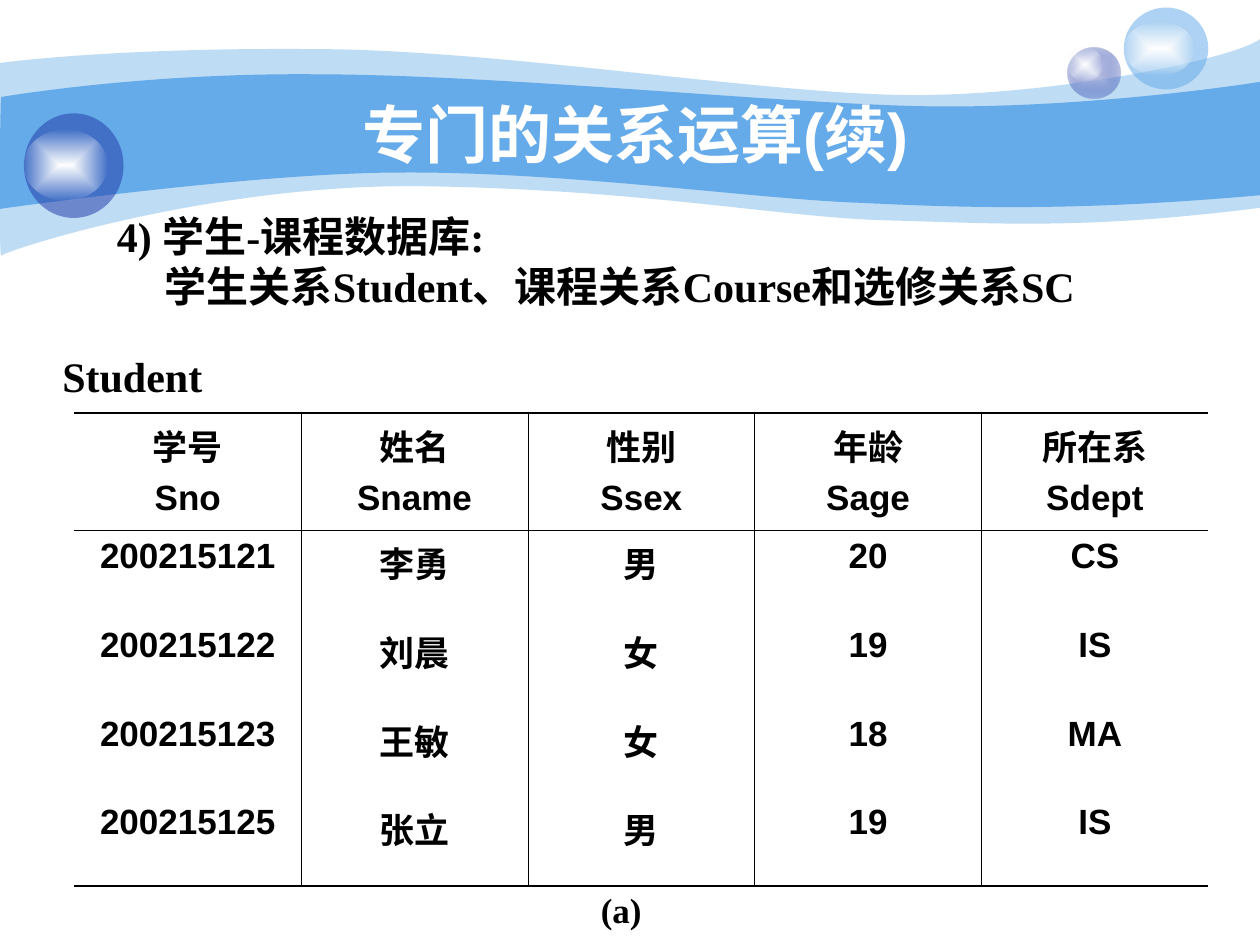
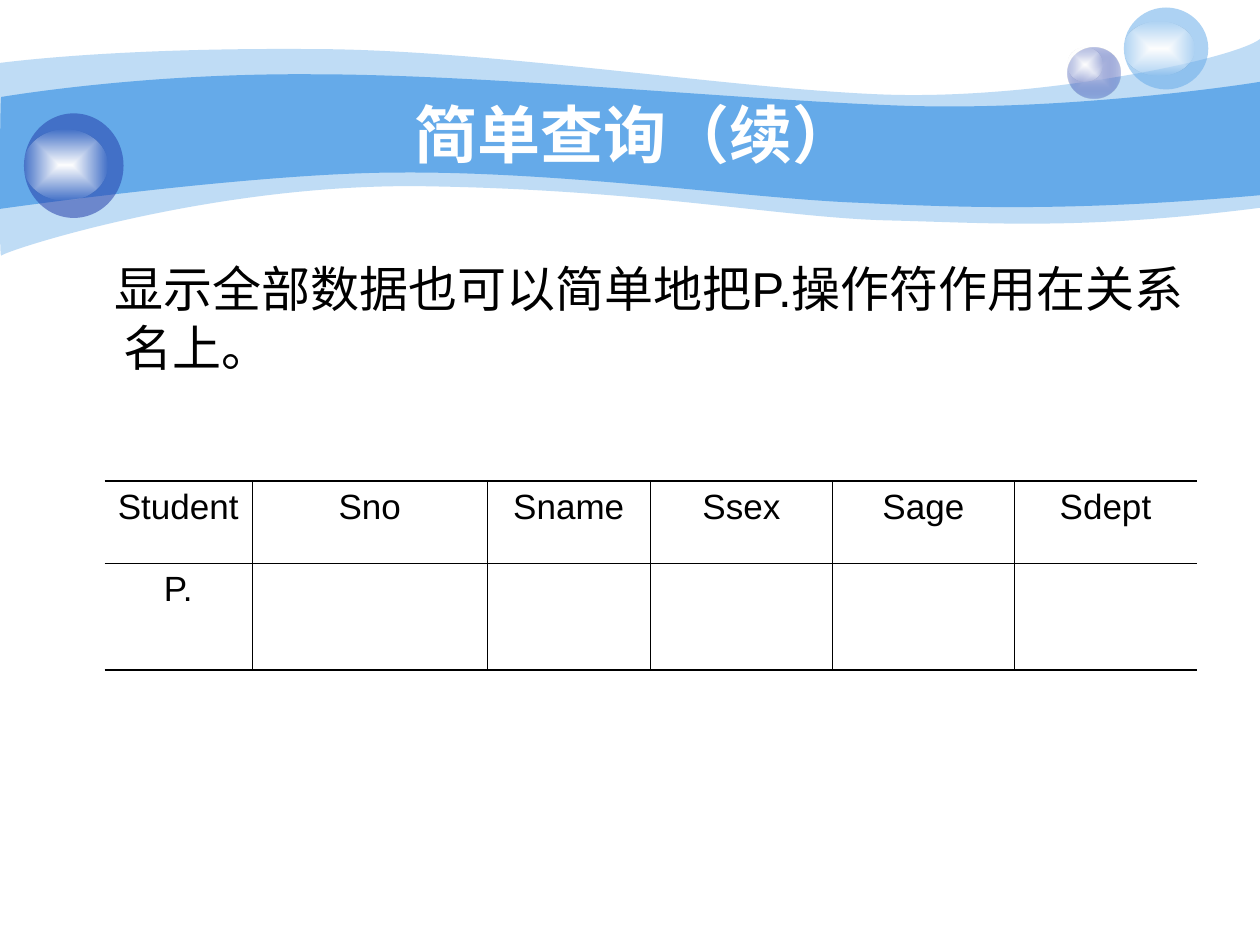
from lxml.etree import SubElement
from pptx import Presentation
from pptx.dml.color import RGBColor
from pptx.enum.shapes import MSO_SHAPE as Preset
from pptx.enum.text import MSO_ANCHOR as Anchor, MSO_AUTO_SIZE as Fit, PP_ALIGN as Align
from pptx.oxml.ns import qn
from pptx.util import Pt

EMU_PER_PX = 9144
SANS, SERIF = "Arial", "Times New Roman"
COLORS = {"sky": "65AAE9", "navy": "233DA9", "lilac": "C7CEE9",
          "white": "FFFFFF", "black": "000000"}
THIN, THICK = 0.45, 1.08

PALE_WAVE = [(0, 50), (24, 47, 107, 38, 247, 39), (386, 39, 575, 70, 699, 75),
             (822, 80, 980, 47, 1000, 31), (1000, 165),
             (858, 183, 787, 177, 705, 175), (622, 173, 515, 151, 343, 148),
             (172, 144, 4, 199, 1, 203), (-1, 208, 0, 75, 0, 50)]
BLUE_WAVE = [(1, 77), (2, 77, 110, 58, 248, 59), (386, 59, 595, 80, 718, 84),
             (841, 88, 976, 69, 1000, 65), (1000, 155),
             (853, 168, 765, 165, 682, 161), (599, 158, 447, 136, 317, 137),
             (203, 137, -2, 166, -1, 166), (0, 166, 0, 77, 1, 77)]


def px(*lengths):
    return [round(length * EMU_PER_PX) for length in lengths]


def add_color(parent, color, alpha=100):
    node = SubElement(parent, qn("a:srgbClr"), val=COLORS[color])
    if alpha < 100:
        SubElement(node, qn("a:alpha"), val=str(alpha * 1000))


class Deck:
    def __init__(self):
        self.prs = Presentation()
        self.prs.slide_width, self.prs.slide_height = px(1000, 750)
        self.layout = self.prs.slide_layouts[5]
        for placeholder in list(self.layout.placeholders)[1:]:
            self.layout.shapes.element.remove(placeholder.element)
        self.slide = None

    def new_slide(self, heading):
        first = self.slide is None
        self.slide = self.prs.slides.add_slide(self.layout)
        if first:
            self.backdrop()
        title = self.slide.shapes.title
        title.left, title.top, title.width, title.height = px(100, 75, 808, 62)
        title.text_frame.text = heading
        title.text_frame.auto_size = Fit.NONE
        title.text_frame.vertical_anchor = Anchor.MIDDLE
        self.style(title.text_frame.paragraphs[0], 36, True, color="white")

    def backdrop(self):
        decor = [
            self.wave(PALE_WAVE, 41),
            self.wave(BLUE_WAVE),
            self.glow((847, 38, 42, 40), "lilac", "navy", 31),
            self.glow((847, 38, 28, 27)),
            self.bubble((892, 6, 67, 65), "sky"),
            self.glow((892, 17, 56, 43)),
            self.bubble((19, 90, 79, 83), "navy"),
            self.glow((19, 103, 66, 56)),
        ]
        for shape in decor:
            self.layout.shapes.element.append(shape.element)

    def plain(self, shape, color, alpha=100):
        shape.shadow.inherit = False
        shape.line.fill.background()
        shape.fill.solid()
        shape.fill.fore_color.rgb = RGBColor.from_string(COLORS[color])
        if alpha < 100:
            solid = shape.element.spPr.find(qn("a:solidFill"))
            solid.remove(solid[0])
            add_color(solid, color, alpha)
        return shape

    def wave(self, steps, alpha=100):
        points = [point for step in steps for point in zip(step[::2], step[1::2])]
        outline = self.slide.shapes.build_freeform(*points[0], scale=EMU_PER_PX)
        outline.add_line_segments(points[1:], close=True)
        shape = outline.convert_to_shape()
        contour = shape.element.spPr.find(".//" + qn("a:path"))
        lines = iter(contour.findall(qn("a:lnTo")))
        for step in steps[1:]:
            line = next(lines)
            if len(step) == 6:
                curve = line.makeelement(qn("a:cubicBezTo"))
                contour.replace(line, curve)
                curve.append(line[0])
                for _ in range(2):
                    knot = next(lines)
                    contour.remove(knot)
                    curve.append(knot[0])
        return self.plain(shape, "sky", alpha)

    def bubble(self, box, color, alpha=53):
        return self.plain(self.slide.shapes.add_shape(Preset.OVAL, *px(*box)), color, alpha)

    def glow(self, box, center="white", edge="white", edge_alpha=0):
        oval = self.bubble(box, center, 100)
        props = oval.element.spPr
        solid = props.find(qn("a:solidFill"))
        grad = SubElement(props, qn("a:gradFill"), rotWithShape="1")
        stops = SubElement(grad, qn("a:gsLst"))
        add_color(SubElement(stops, qn("a:gs"), pos="0"), center)
        add_color(SubElement(stops, qn("a:gs"), pos="100000"), edge, edge_alpha)
        spread = SubElement(grad, qn("a:path"), path="rect")
        SubElement(spread, qn("a:fillToRect"), l="50000", t="50000", r="50000", b="50000")
        props.replace(solid, grad)
        return oval

    def style(self, paragraph, size, bold=False, font=SANS, color="black", align=Align.CENTER):
        paragraph.alignment = align
        paragraph.font.name, paragraph.font.size, paragraph.font.bold = font, Pt(size), bold
        paragraph.font.color.rgb = RGBColor.from_string(COLORS[color])

    def text(self, box, lines, size, bold=True, font=SERIF, align=Align.CENTER,
             indents=(), wrap=True, anchor=Anchor.TOP):
        frame = self.slide.shapes.add_textbox(*px(*box)).text_frame
        frame.word_wrap, frame.vertical_anchor = wrap, anchor
        frame.auto_size = Fit.NONE
        frame.text = "\n".join(lines)
        for paragraph in frame.paragraphs:
            self.style(paragraph, size, bold, font, align=align)
        for paragraph, (margin, indent) in zip(frame.paragraphs, indents):
            props = paragraph._p.get_or_add_pPr()
            props.set("marL", str(px(margin)[0]))
            props.set("indent", str(px(indent)[0]))

    def table(self, left, top, widths, heights, rows, bold=False):
        frame = self.slide.shapes.add_table(len(heights), len(widths),
                                            *px(left, top, sum(widths), sum(heights)))
        grid = frame.table
        grid.first_row = grid.horz_banding = False
        for column, width in zip(grid.columns, px(*widths)):
            column.width = width
        for row, height in zip(grid.rows, px(*heights)):
            row.height = height
        last_row, last_col = len(heights) - 1, len(widths) - 1
        for r, values in enumerate(rows):
            for c, value in enumerate(values):
                cell = grid.cell(r, c)
                cell.text = value
                cell.fill.background()
                for i, paragraph in enumerate(cell.text_frame.paragraphs):
                    self.style(paragraph, 20, bold)
                    if i:
                        paragraph.space_before = Pt(5)
                self.borders(cell, {
                    "L": THIN if c else 0,
                    "R": THIN if c < last_col else 0,
                    "T": {0: THICK, 1: THIN}.get(r, 0),
                    "B": THICK if r == last_row else THIN if r == 0 else 0})

    def borders(self, cell, widths):
        props = cell._tc.get_or_add_tcPr()
        for place, (side, width) in enumerate(widths.items()):
            line = SubElement(props, qn(f"a:ln{side}"), w=str(Pt(width)))
            if width:
                add_color(SubElement(line, qn("a:solidFill")), "black")
            else:
                SubElement(line, qn("a:noFill"))
            props.insert(place, line)


def main():
    deck = Deck()
    fields = ["Sno", "Sname", "Ssex", "Sage", "Sdept"]

    deck.new_slide("专门的关系运算(续)")
    deck.text((114, 700, 758, 44), ["(a)"], 20)
    deck.text((39, 265, 132, 67), ["Student"], 24, wrap=False, anchor=Anchor.MIDDLE)
    deck.text((83, 162, 810, 130),
              ["4) 学生-课程数据库:", "学生关系Student、课程关系Course和选修关系SC"],
              24, align=Align.LEFT, indents=[(38, -38), (38, 0)])
    labels = ["学号", "姓名", "性别", "年龄", "所在系"]
    students = [
        ["200215121", "李勇", "男", "20", "CS"],
        ["200215122", "刘晨", "女", "19", "IS"],
        ["200215123", "王敏", "女", "18", "MA"],
        ["200215125", "张立", "男", "19", "IS"],
    ]
    header = [f"{label}\n{field}" for label, field in zip(labels, fields)]
    deck.table(59, 328, [180] * 5, [93, 71, 70, 70, 71], [header] + students, bold=True)

    deck.new_slide("简单查询（续）")
    deck.text((50, 200, 899, 159), ["显示全部数据也可以简单地把P.操作符作用在关系名上。"],
              28, False, SANS, Align.JUSTIFY, indents=[(38, -7)])
    deck.table(83, 382, [117, 187, 129, 145, 144, 145], [65, 85],
               [["Student"] + fields, ["P."] + [""] * len(fields)])

    deck.prs.save("out.pptx")


if __name__ == "__main__":
    main()
